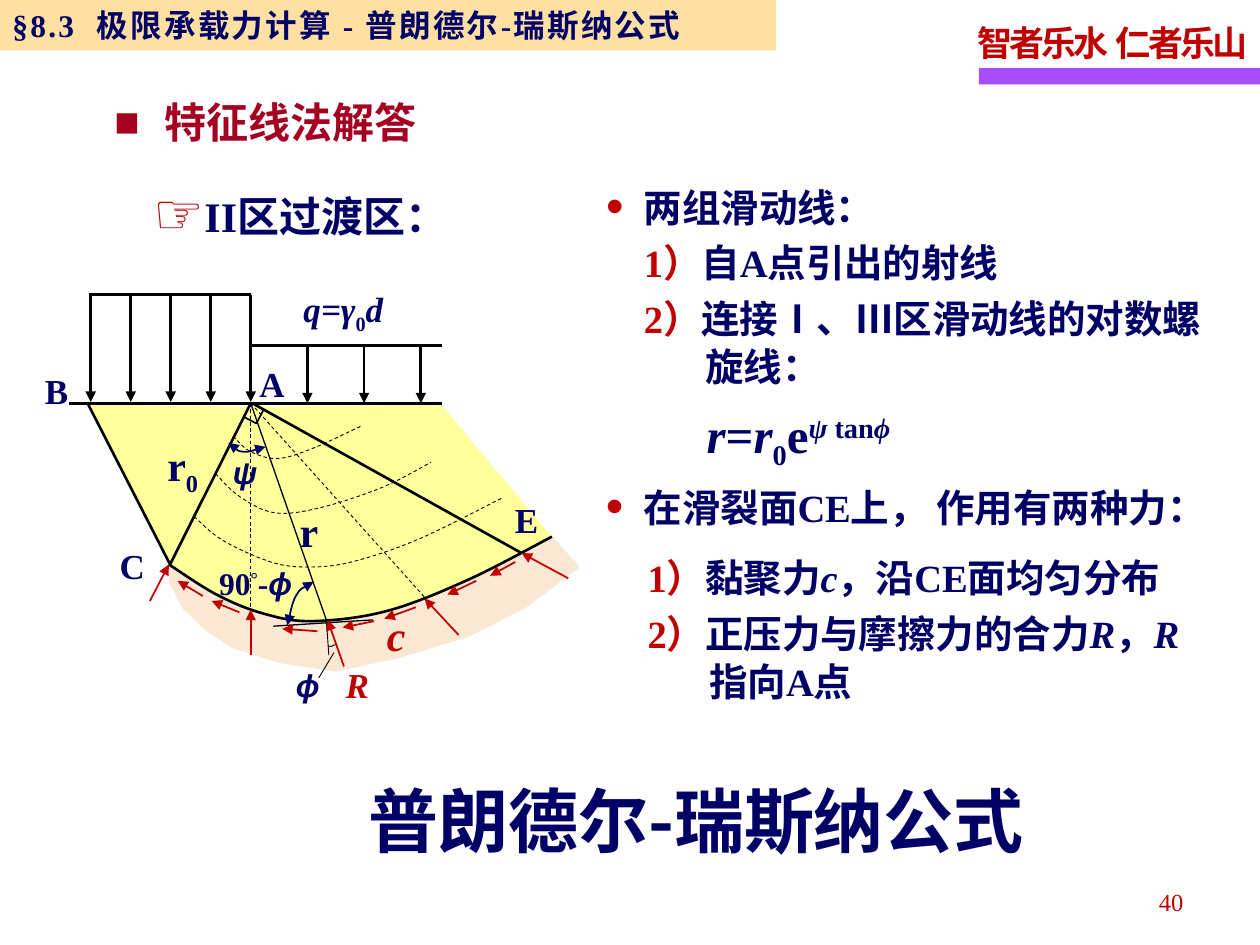
"""Build the slide on the transition zone of the Prandtl-Reissner solution."""
from lxml.etree import SubElement as Sub
from pptx import Presentation
from pptx.dml.color import RGBColor as Rgb
from pptx.enum.dml import MSO_LINE_DASH_STYLE as Dash
from pptx.enum.shapes import MSO_CONNECTOR as Conn, MSO_SHAPE as Kind
from pptx.enum.text import MSO_ANCHOR as Anchor, MSO_AUTO_SIZE as Auto, PP_ALIGN as Align
from pptx.oxml.ns import qn
from pptx.util import Inches, Pt

HUES = {
    "navy": "000066", "red": "C00000", "wine": "A50021", "black": "000000",
    "purple": "A74FFF", "peach": "FAE8D5", "yellow": "FFFF9C", "gold": "FFCC66",
}
ROMAN, SANS, ARIAL = "Times New Roman", "Noto Sans CJK SC", "Arial"
SHIFT = {"_": "-25000", "^": "30000"}


def hue(name):
    """Give the colour of that name."""
    return Rgb.from_string(HUES[name])


def add_run(para, words, flags, size, font, color, bold, gap):
    """Add a run; flags: i italic, r red, a Arial, _ below, ^ above."""
    run = para.add_run()
    run.text = words
    face = run.font
    face.size, face.bold, face.italic = Pt(size), bold, "i" in flags
    face.name = ARIAL if "a" in flags else font
    face.color.rgb = hue("red" if "r" in flags else color)
    props = run._r.get_or_add_rPr()
    Sub(props, qn("a:ea")).set("typeface", SANS)
    for mark in SHIFT:
        if mark in flags:
            props.set("baseline", SHIFT[mark])
    if gap:
        props.set("spc", str(int(gap * 100)))


def add_mark(para, char, color, scale):
    """Put a bullet before the paragraph."""
    props = para._p.get_or_add_pPr()
    Sub(Sub(props, qn("a:buClr")), qn("a:srgbClr")).set("val", HUES[color])
    Sub(props, qn("a:buSzPct")).set("val", str(scale * 1000))
    Sub(props, qn("a:buFont")).set("typeface", ARIAL)
    Sub(props, qn("a:buChar")).set("char", char)


def write(frame, paras, size=20, font=ROMAN, color="navy", bold=True, gap=0,
          align=Align.LEFT, lead=1.15, space=0, left=0, hang=0, mark=None,
          wrap=True, inset=True, anchor=Anchor.TOP, grow=True):
    """Fill a text frame with paragraphs made of (words, flags) runs."""
    frame.word_wrap, frame.vertical_anchor = wrap, anchor
    frame.auto_size = Auto.SHAPE_TO_FIT_TEXT if grow else Auto.NONE
    if not inset:
        frame.margin_left = frame.margin_right = 0
        frame.margin_top = frame.margin_bottom = 0
    for num, runs in enumerate(paras):
        para = frame.add_paragraph() if num else frame.paragraphs[0]
        if hang:
            props = para._p.get_or_add_pPr()
            props.set("marL", str(Inches(left)))
            props.set("indent", str(-Inches(hang)))
        if mark:
            add_mark(para, *mark)
        para.alignment, para.line_spacing = align, lead
        if space:
            para.space_after = Pt(space)
            if num:
                para.space_before = Pt(space)
        for words, flags in runs:
            add_run(para, words, flags, size, font, color, bold, gap)


def add_text(slide, box, *paras, **style):
    """Add a text box; a plain string stands for a one-run paragraph."""
    frame = slide.shapes.add_textbox(*map(Inches, box)).text_frame
    write(frame, [[(p, "")] if isinstance(p, str) else p for p in paras], **style)


def add_label(slide, box, runs, **style):
    """Add a centred label that does not wrap."""
    add_text(slide, box, runs, wrap=False, anchor=Anchor.MIDDLE, align=Align.CENTER, **style)


def add_rect(slide, box, color):
    """Add a plain filled rectangle."""
    rect = slide.shapes.add_shape(Kind.RECTANGLE, *map(Inches, box))
    rect.shadow.inherit = False
    rect.fill.solid()
    rect.fill.fore_color.rgb = hue(color)
    rect.line.fill.background()
    return rect


def style_line(shape, color, width, dash, ends):
    """Set colour, width, dash and arrowheads of a line."""
    line = shape.line
    line.color.rgb, line.width = hue(color), Pt(width)
    if dash:
        line.dash_style = Dash.DASH
    for end in ends:
        Sub(line._get_or_add_ln(), qn(f"a:{end}End")).set("type", "triangle")


def add_line(slide, start, end, color="black", width=1.5, dash=False, ends=()):
    """Add a straight line with arrowheads at the named ends."""
    points = map(Inches, (*start, *end))
    line = slide.shapes.add_connector(Conn.STRAIGHT, *points)
    style_line(line, color, width, dash, ends)
    Sub(line._element.spPr, qn("a:effectLst"))


def bend_path(shape, count):
    """Turn the first segments of an outline into smooth curves."""
    steps = list(shape._element.iter(qn("a:moveTo"), qn("a:lnTo")))[:count + 1]
    dots = [(int(s[0].get("x")), int(s[0].get("y"))) for s in steps]
    ext = [dots[0], *dots, dots[-1]]
    for step, a, b, c, d in zip(steps[1:], ext, ext[1:], ext[2:], ext[3:]):
        step.tag = qn("a:cubicBezTo")
        step.remove(step[0])
        out = [q + (r - p) / 6 for p, q, r in zip(a, b, c)]
        back = [r - (s - q) / 6 for q, r, s in zip(b, c, d)]
        for x, y in (out, back, c):
            dot = Sub(step, qn("a:pt"))
            dot.set("x", str(round(x)))
            dot.set("y", str(round(y)))


def add_path(slide, points, fill=None, bend=0, turn=0, color="black", width=1.5,
             dash=False, ends=()):
    """Add a filled area or an open line through points."""
    first, *rest = [tuple(map(Inches, p)) for p in points]
    pen = slide.shapes.build_freeform(*first)
    pen.add_line_segments(rest, close=bool(fill))
    shape = pen.convert_to_shape()
    shape.shadow.inherit = False
    shape.rotation = turn
    if bend:
        bend_path(shape, bend)
    if fill:
        shape.fill.solid()
        shape.fill.fore_color.rgb = hue(fill)
        shape.line.fill.background()
    else:
        shape.fill.background()
        style_line(shape, color, width, dash, ends)


def draw_soil(slide):
    """Draw soil areas, loads and slip lines."""
    slip = [(1.34, 4.48), (1.72, 4.72), (2.09, 4.87), (2.48, 4.93),
            (3.07, 4.85), (3.72, 4.6), (4.38, 4.26)]
    add_path(slide, [(1.34, 4.49), (1.34, 4.62), (1.45, 4.83), (1.64, 5.01), (1.84, 5.14),
                     (2.21, 5.26), (2.66, 5.33), (3.18, 5.22), (3.73, 5.05), (4.18, 4.82),
                     (4.6, 4.5), (4.37, 4.24)], fill="peach")
    add_path(slide, slip + [(3.5, 3.21), (1.98, 3.23), (0.7, 3.21)], fill="yellow", bend=6)
    for num in range(5):
        x = 0.72 + 1.27 * num / 4
        add_line(slide, (x, 2.34), (x, 3.19), ends=["tail"])
    for num in range(3):
        x = 2.44 + 0.45 * num
        add_line(slide, (x, 2.75), (x, 3.2), ends=["tail"])
    for start, end in [((3.51, 3.2), (0.55, 3.2)), ((3.51, 2.74), (1.98, 2.74)),
                       ((0.71, 2.34), (1.99, 2.34)), ((2.02, 3.21), (4.14, 4.39))]:
        add_line(slide, start, end)
    add_path(slide, [(0.7, 3.21), (1.35, 4.48), (1.99, 3.2)])
    apex = (1.99, 3.2)
    add_line(slide, apex, (2.59, 4.92), width=0.75)
    for end in [(3.37, 4.74), (1.99, 4.84)]:
        add_line(slide, apex, end, width=0.5, dash=True)
    for arc in [[(1.85, 3.46), (1.98, 3.58), (2.2, 3.64), (2.48, 3.56), (2.87, 3.38)],
                [(1.71, 3.76), (1.9, 3.94), (2.18, 4.07), (2.54, 4.03), (3.03, 3.87), (3.42, 3.67)],
                [(1.54, 4.1), (1.77, 4.29), (2.15, 4.46), (2.44, 4.5), (2.79, 4.46),
                 (3.32, 4.28), (3.99, 3.95)]]:
        add_path(slide, arc, bend=len(arc) - 1, width=0.5, dash=True)
    add_path(slide, slip, bend=6)


def draw_forces(slide):
    """Draw angle marks and the forces on the slip face."""
    add_line(slide, (2.17, 4.97), (2.96, 4.92), width=0.75)
    add_line(slide, (2.59, 4.92), (2.61, 5.2), width=0.5)
    add_line(slide, (2.65, 5.18), (2.53, 5.38), width=0.5)
    add_path(slide, [(2.61, 5.1), (2.62, 5.12), (2.66, 5.14)], bend=1, turn=309, width=0.5)
    add_path(slide, [(1.95, 3.22), (2.07, 3.22), (2.07, 3.34)], turn=117.8, width=1)
    for arc, turn in [([(2.52, 4.94), (2.46, 4.78), (2.25, 4.64)], 253.1),
                      ([(2.06, 3.64), (2.02, 3.51), (1.86, 3.42)], 138.5)]:
        add_path(slide, arc, bend=2, turn=turn, color="navy", width=1, ends=("head", "tail"))
    shear = [(3.89, 4.57, 4.09, 4.46), (3.55, 4.72, 3.78, 4.61), (3.05, 4.91, 3.3, 4.82),
             (2.72, 4.98, 2.97, 4.93), (2.24, 4.99, 2.52, 5.01), (1.68, 4.77, 1.9, 4.86),
             (1.41, 4.61, 1.61, 4.73)]
    push = [(1.34, 4.48, 1.19, 4.77), (2.6, 4.92, 2.73, 5.29), (3.37, 4.75, 3.64, 5.04),
            (4.14, 4.39, 4.51, 4.59), (1.99, 4.84, 1.99, 5.2)]
    for x, y, to_x, to_y in shear + push:
        add_line(slide, (x, y), (to_x, to_y), color="red", width=1, ends=["head"])


def add_names(slide):
    """Label the points, angles and forces."""
    for name, x, y in [("A", 1.96, 2.77), ("B", 0.25, 2.83), ("C", 0.85, 4.22), ("E", 3.98, 3.85)]:
        add_label(slide, (x, y, 0.4, 0.49), [(name, "")])
    add_label(slide, (2.3, 2.2, 0.85, 0.49), [("q=γ", "i"), ("0", "_"), ("d", "i")])
    add_label(slide, (2.97, 4.74, 0.35, 0.53), [("c", "ir")], size=24)
    add_label(slide, (2.64, 5.16, 0.39, 0.49), [("R", "ir")])
    add_text(slide, (1.64, 4.38, 0.89, 0.45), [("90", ""), ("°", "^"), ("-", ""), ("ϕ", "ia")], size=18)
    add_text(slide, (2.25, 5.19, 0.37, 0.45), [("ϕ", "ia")], size=18)
    add_text(slide, (1.75, 3.5, 0.45, 0.45), [("ψ", "ia")], size=18)
    add_text(slide, (1.23, 3.44, 0.46, 0.5), [("r", ""), ("0", "_")], size=24, lead=1, wrap=False)
    add_text(slide, (2.28, 3.96, 0.35, 0.5), "r", size=24, lead=1, wrap=False)


def add_notes(slide):
    """Write the headings and the explanation."""
    add_text(slide, (0.81, 0.64, 3.05, 0.54), "特征线法解答", size=24, font=SANS, color="wine",
             lead=1.2, left=0.4, hang=0.4, mark=("■", "wine", 100))
    add_text(slide, (1.22, 1.45, 3.55, 0.46), "II区过渡区：", size=24, left=0.38, hang=0.38,
             mark=("☞", "red", 135), inset=False)
    body = {"size": 22, "lead": 1.05, "space": 2, "inset": False}
    point = {"left": 0.3, "hang": 0.3, "mark": ("•", "red", 130), **body}
    add_text(slide, (4.81, 1.44, 2.55, 0.39), "两组滑动线：", **point)
    add_text(slide, (4.82, 1.88, 4.78, 1.22), [("1）", "r"), ("自A点引出的射线", "")],
             [("2）", "r"), ("连接Ⅰ、Ⅲ区滑动线的对数螺旋线：", "")], left=0.78, hang=0.49, **body)
    add_text(slide, (5.51, 3.08, 2.42, 0.64), [("r", "i"), ("=", ""), ("r", "i"), ("0", "_"),
             ("e", ""), ("ψ ", "i^"), ("tan", "^"), ("ϕ", "i^")], size=28)
    add_text(slide, (4.81, 3.82, 4.97, 0.39), "在滑裂面CE上， 作用有两种力：", **point)
    add_text(slide, (5.14, 4.38, 4.24, 1.22),
             [("1）", "r"), ("黏聚力", ""), ("c", "i"), ("，沿CE面均匀分布", "")],
             [("2）", "r"), ("正压力与摩擦力的合力", ""), ("R", "i"), ("，", ""), ("R", "i"),
              ("指向A点", "")], left=0.49, hang=0.49, **body)
    add_text(slide, (2.73, 6.12, 5.59, 0.77), "普朗德尔-瑞斯纳公式", size=40, font=SANS,
             lead=1, align=Align.CENTER)


def add_frame(slide):
    """Add the header bar, the motto and the page number."""
    add_rect(slide, (7.77, 0.54, 2.23, 0.13), "purple")
    add_text(slide, (7.66, 0.07, 2.36, 0.49), "智者乐水  仁者乐山", color="red", gap=-1.7, wrap=False)
    bar = add_rect(slide, (0, 0, 6.16, 0.4), "gold")
    tint = bar._element.spPr.find(".//" + qn("a:srgbClr"))
    Sub(tint, qn("a:alpha")).set("val", "60000")
    write(bar.text_frame, [[("§8.3  极限承载力计算 - 普朗德尔-瑞斯纳公式", "")]], size=18, gap=1.3,
          lead=1, anchor=Anchor.MIDDLE, grow=False)
    add_text(slide, (7.16, 6.96, 2.33, 0.4), "40", size=14, color="red", bold=False, align=Align.RIGHT)


def main():
    """Build and save the slide."""
    deck = Presentation()
    deck.slide_width, deck.slide_height = Inches(10), Inches(7.5)
    slide = deck.slides.add_slide(deck.slide_layouts[6])
    draw_soil(slide)
    draw_forces(slide)
    add_names(slide)
    add_notes(slide)
    add_frame(slide)
    deck.save("out.pptx")


if __name__ == "__main__":
    main()
